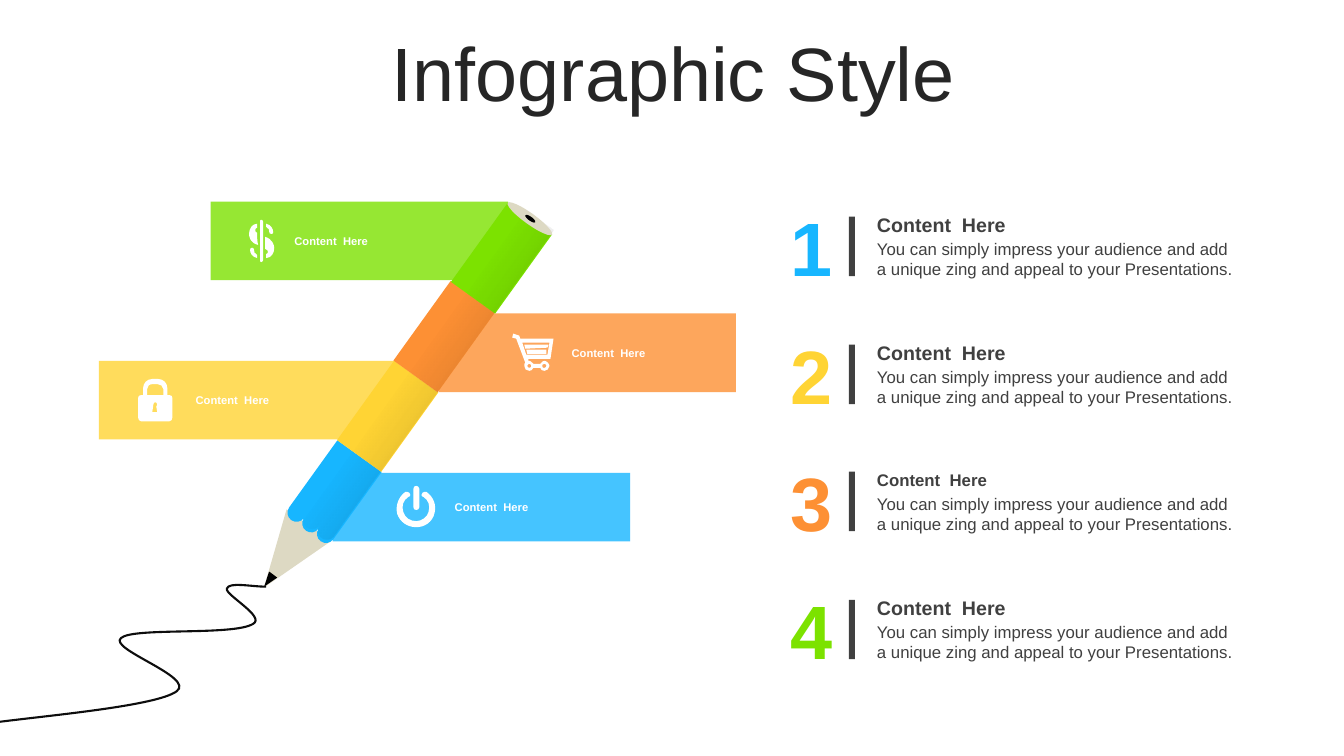
from lxml.etree import SubElement
from pptx import Presentation
from pptx.dml.color import RGBColor
from pptx.enum.shapes import MSO_SHAPE
from pptx.enum.text import MSO_ANCHOR, MSO_AUTO_SIZE, PP_ALIGN
from pptx.oxml.ns import qn
from pptx.util import Emu, Pt

PX = 9144  # 100 px to the inch
BLUE, YELLOW, ORANGE, GREEN = "17B6FF", "FFD434", "FD9034", "7CE200"
DARK, WOOD, WHITE, BLACK = "404040", "DDD9C3", "FFFFFF", "000000"
TILT = 215.7
CROSS_TILT = TILT + 90
HEADING = "Content  Here"
DETAIL = ("You can simply impress your audience and add "
          "a unique zing and appeal to your Presentations.")

# left, top, height, colour, label left
BANNERS = [
    (209, 200, 78, GREEN, 292),
    (435, 311, 78, ORANGE, 567),
    (98, 358, 78, YELLOW, 194),
    (330, 469, 68, BLUE, 451),
]

# Outlines in px: M starts a contour, L adds lines, C adds cubic curves.
DOLLAR = """
M 269 232 C 268 232 267 232 267 230 267 229 267 226 264 225 L 264 222
C 269 223 271 227 271 231 271 232 270 232 269 232
M 256 243 C 248 241 247 235 247 232 247 227 250 222 255 222 L 255 226
C 253 226 252 230 255 231 255 235 255 239 256 243
M 264 256 L 264 252 C 266 252 267 248 263 247 263 243 263 239 263 235
270 237 272 243 272 246 272 251 269 256 264 256
M 255 256 C 250 255 248 251 248 248 248 245 252 245 252 248 252 249 252 252 255 253
M 259 260 C 258 260 258 259 258 258 L 258 220 C 258 219 258 218 259 218
260 218 261 219 261 220 L 261 258 C 261 259 260 260 259 260"""
POWER = """
M 421 488 C 422 488 423 488 423 488 430 493 433 501 431 509 429 518 421 523 413 523
404 523 397 518 394 510 392 502 395 493 402 488 402 488 403 488 404 488
405 488 407 489 407 491 407 492 406 493 405 493 400 496 398 502 400 508
402 514 407 517 413 517 418 517 424 513 425 508 427 502 425 496 420 493
419 493 418 492 418 491 418 489 420 488 421 488
M 413 482 C 414 482 416 483 416 485 L 416 503 C 416 505 414 506 413 506
411 506 410 505 410 503 L 410 485 C 410 483 411 482 413 482"""
PADLOCK = """
M 154 399 C 153 399 152 400 152 402 152 402 152 403 152 403 L 151 409 156 409 155 403
C 156 403 156 402 156 402 156 400 155 399 154 399
M 152 381 C 148 381 146 383 146 386 L 146 392 162 392 162 386
C 162 383 159 381 156 381
M 151 376 L 157 376 C 162 376 166 380 166 385 L 166 392 168 392
C 170 392 171 393 171 395 L 171 414 C 171 416 170 418 168 418 L 140 418
C 138 418 137 416 137 414 L 137 395 C 137 393 138 392 140 392 L 142 392 142 385
C 142 380 146 376 151 376"""
CART = """
M 540 361 C 539 361 538 362 538 362 L 538 364 C 538 365 539 365 540 365
541 365 542 364 542 363 542 362 541 361 540 361
M 525 361 C 524 361 523 362 523 363 523 364 524 365 525 365
526 365 527 364 527 363 527 362 526 361 525 361
M 542 347 L 542 351 523 351 522 347
M 544 342 L 543 345 521 346 520 342
M 518 340 L 522 352 543 352 545 340
M 509 331 L 515 333 516 336 549 336 546 356 524 356 524 358 525 358
C 526 358 527 359 528 360 L 529 361 536 361 537 360 C 537 359 539 358 540 358
542 358 545 361 545 363 545 366 542 368 540 368 538 368 536 367 536 365
L 529 365 C 528 367 527 368 525 368 522 368 520 366 520 363 520 363 520 362 520 361
L 521 360 512 336 508 335"""
PENCIL_TIP = "M 267 567 L 275 573 262 582"
SCRIBBLE = """
M 264 582 C 249 582 227 577 225 584 223 590 264 612 251 619
231 631 132 622 120 633 107 644 195 672 175 686 155 700 56 709 0 716"""


def px(*lengths):
    return [Emu(length * PX) for length in lengths]


def rgb(color):
    return RGBColor.from_string(color)


def set_alpha(shape, *percents):
    """Give the shape's fill colours their opacity, in order."""
    colors = list(shape.element.spPr.iter(qn("a:srgbClr")))
    for color, percent in zip(colors, percents):
        SubElement(color, qn("a:alpha"), val=str(percent * 1000))


def finish(shape, fill=None, rotation=0):
    shape.shadow.inherit = False
    shape.line.fill.background()
    if fill:
        shape.fill.solid()
        shape.fill.fore_color.rgb = rgb(fill)
    shape.rotation = rotation
    return shape


def add_preset(shapes, kind, left, top, width, height, fill, rotation=0):
    shape = shapes.add_shape(kind, *px(left, top, width, height))
    return finish(shape, fill, rotation)


def scalloped(left, top, width, height, scallops=3):
    """Outline of a rectangle whose top edge is a row of semicircles."""
    radius = width // scallops // 2
    handle = round(radius * 0.55)
    base, shoulder = top + radius, top + radius - handle
    outline = (f"M {left + width} {top + height} "
               f"L {left} {top + height} {left} {base} C")
    for index in range(scallops):
        center = left + radius * (2 * index + 1)
        outline += (f" {center - radius} {shoulder} {center - handle} {top} {center} {top}"
                    f" {center + handle} {top} {center + radius} {shoulder}"
                    f" {center + radius} {base}")
    return outline


def bend(shape, curved):
    """Turn each three line segments flagged as curved into one cubic curve."""
    segments = list(shape.element.iter(qn("a:lnTo")))
    handles = [segment for segment, flag in zip(segments, curved) if flag]
    for first, second, end in zip(handles[::3], handles[1::3], handles[2::3]):
        first.tag = qn("a:cubicBezTo")
        for segment in (second, end):
            first.append(segment[0])
            segment.getparent().remove(segment)


def add_freeform(shapes, outline, fill=None, rotation=0, closed=True):
    contours, curved, command, numbers = [], [], "M", []
    for token in outline.split():
        if token in "MLC":
            command = token
            if command == "M":
                contours.append([])
            continue
        numbers.append(int(token))
        if len(numbers) == 2:
            contours[-1].append(px(*numbers))
            numbers = []
            if command != "M":
                curved.append(command == "C")
    builder = shapes.build_freeform(*contours[0][0], scale=1.0)
    for index, (start, *points) in enumerate(contours):
        if index:
            builder.move_to(*start)
        builder.add_line_segments(points, close=closed)
    shape = builder.convert_to_shape()
    bend(shape, curved)
    return finish(shape, fill, rotation)


def write(shape, text, size, color, bold=False, align=PP_ALIGN.LEFT,
          anchor=MSO_ANCHOR.MIDDLE, insets=(10, 5, 10, 5), grow=True):
    frame = shape.text_frame
    frame.word_wrap = True
    frame.auto_size = MSO_AUTO_SIZE.SHAPE_TO_FIT_TEXT if grow else MSO_AUTO_SIZE.NONE
    frame.vertical_anchor = anchor
    (frame.margin_left, frame.margin_top,
     frame.margin_right, frame.margin_bottom) = px(*insets)
    paragraph = frame.paragraphs[0]
    paragraph.alignment = align
    run = paragraph.add_run()
    run.text = text
    run.font.name, run.font.size, run.font.bold = "Arial", Pt(size), bold
    run.font.color.rgb = rgb(color)
    return paragraph


def add_text(shapes, text, left, top, width, height, **style):
    write(shapes.add_textbox(*px(left, top, width, height)), text, **style)


def add_title(slide, text):
    title = slide.shapes.title
    title.left, title.top, title.width, title.height = px(35, 37, 1266, 79)
    paragraph = write(title, text, size=54, color="262626",
                      align=PP_ALIGN.CENTER, grow=False)
    paragraph.line_spacing = 0.9


def add_item(shapes, number, color, heading_size):
    offset = round((number - 1) * 380 / 3)
    add_text(shapes, str(number), 784, 199 + offset, 47, 91,
             size=54, color=color, bold=True, insets=(0, 0, 0, 0))
    texts = shapes.add_group_shape().shapes
    height = 34 if heading_size == 14 else 30
    add_text(texts, HEADING, 860, 223 + offset - height // 2, 376, height,
             size=heading_size, color=DARK, bold=True)
    add_text(texts, DETAIL, 860, 232 + offset, 376, 50,
             size=12, color=DARK, anchor=MSO_ANCHOR.TOP)
    add_preset(shapes, MSO_SHAPE.RECTANGLE, 842, 215 + offset, 6, 59, DARK)


def add_pencil(shapes):
    pencil = shapes.add_group_shape().shapes
    add_preset(pencil, MSO_SHAPE.ISOSCELES_TRIANGLE, 257, 514, 54, 76, WOOD, TILT)
    add_freeform(pencil, scalloped(303, 444, 54, 91), BLUE, TILT)
    for left, top, color in ((336, 386, YELLOW), (392, 307, ORANGE), (449, 229, GREEN)):
        add_preset(pencil, MSO_SHAPE.RECTANGLE, left, top, 97, 54, color, CROSS_TILT)
    add_freeform(pencil, PENCIL_TIP, BLACK)
    shade = add_freeform(pencil, scalloped(389, 177, 54, 382), rotation=TILT)
    shade.fill.gradient()
    shade.fill.gradient_angle = 180
    for stop, position in zip(shade.fill.gradient_stops, (0.48, 1)):
        stop.position = position
        stop.color.rgb = rgb(BLACK)
    set_alpha(shade, 0, 39)
    add_preset(pencil, MSO_SHAPE.OVAL, 520, 190, 11, 54, WOOD, CROSS_TILT)
    add_preset(pencil, MSO_SHAPE.OVAL, 524, 211, 4, 12, BLACK, CROSS_TILT)


def main():
    presentation = Presentation()
    presentation.slide_width, presentation.slide_height = px(1333, 750)
    slide = presentation.slides.add_slide(presentation.slide_layouts[5])
    shapes = slide.shapes
    add_title(slide, "Infographic Style")
    for number, (color, heading_size) in enumerate(
            [(BLUE, 14), (YELLOW, 14), (ORANGE, 12), (GREEN, 14)], start=1):
        add_item(shapes, number, color, heading_size)
    for left, top, height, color, _ in BANNERS:
        banner = add_preset(shapes, MSO_SHAPE.RECTANGLE, left, top, 295, height, color)
        set_alpha(banner, 80)
    add_pencil(shapes)
    for _, top, height, _, label_left in BANNERS:
        add_text(shapes, HEADING, label_left, top + height // 2 - 12, 144, 24,
                 size=8, color=WHITE, bold=True, insets=(0, 5, 10, 5))
    for icon in (DOLLAR, POWER, PADLOCK, CART):
        add_freeform(shapes, icon, WHITE)
    scribble = add_freeform(shapes, SCRIBBLE, closed=False)
    scribble.fill.background()
    scribble.line.color.rgb = rgb("0D0D0D")
    scribble.line.width = Pt(1.5)
    presentation.save("out.pptx")


if __name__ == "__main__":
    main()
